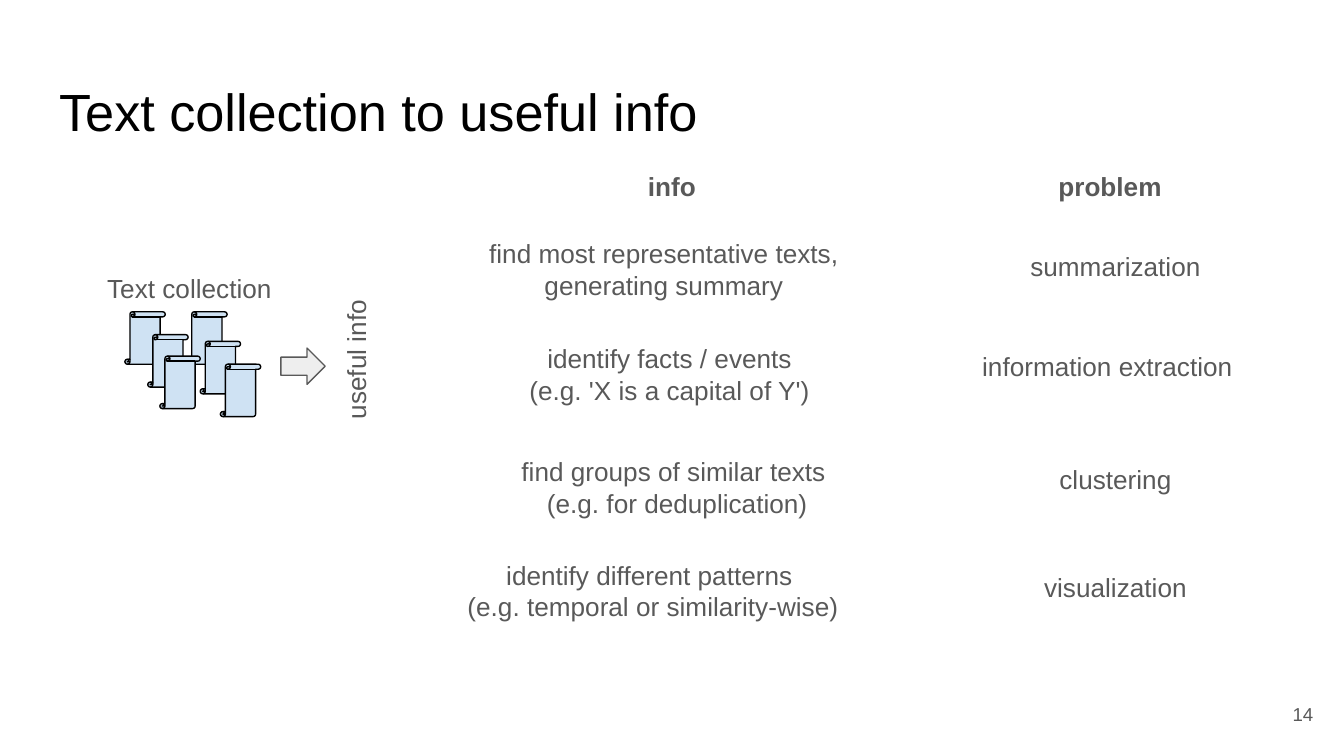
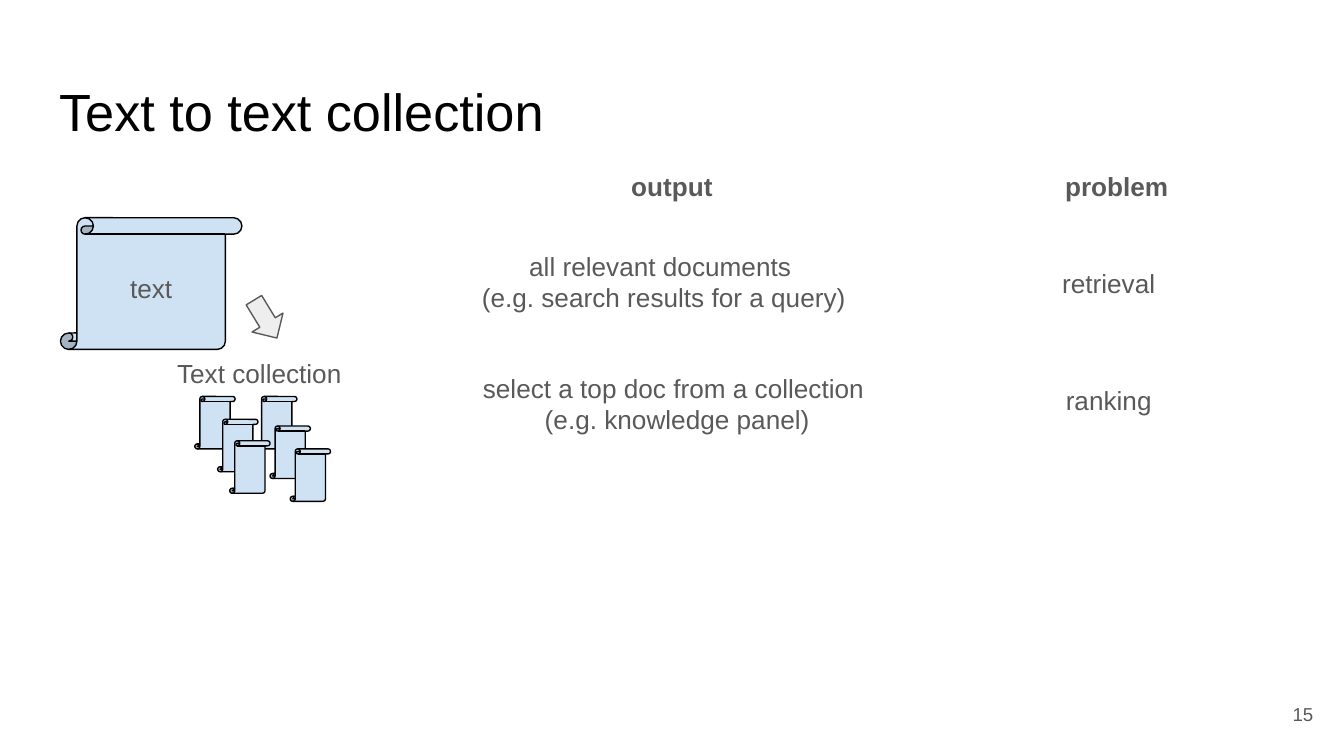
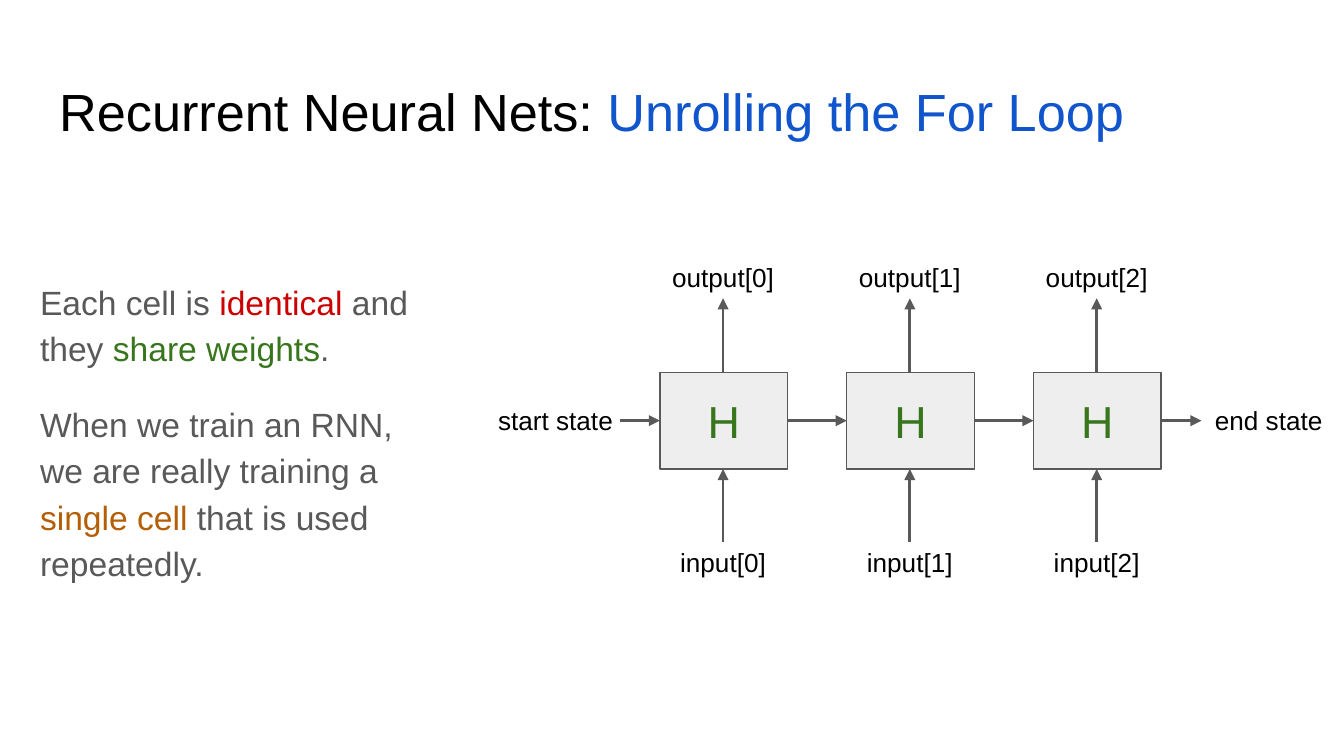
from lxml import etree
from pptx import Presentation
from pptx.dml.color import RGBColor
from pptx.enum.shapes import MSO_CONNECTOR, MSO_SHAPE
from pptx.enum.text import MSO_ANCHOR, MSO_AUTO_SIZE, PP_ALIGN
from pptx.oxml.ns import qn
from pptx.util import Emu, Pt

EMU_PER_PX = 9144  # 100 px to the inch
SLIDE_WIDTH = Emu(1000 * EMU_PER_PX)
SLIDE_HEIGHT = Emu(SLIDE_WIDTH * 9 // 16)
TITLE_ONLY = 5
FONT = "Arial"

BLACK = RGBColor(0x00, 0x00, 0x00)
GREY = RGBColor(0x59, 0x59, 0x59)
LIGHT_GREY = RGBColor(0xEE, 0xEE, 0xEE)
PAPER = RGBColor(0xCF, 0xE2, 0xF3)
BLUE = RGBColor(0x11, 0x55, 0xCC)
RED = RGBColor(0xCC, 0x00, 0x00)
GREEN = RGBColor(0x38, 0x76, 0x1D)
BROWN = RGBColor(0xB4, 0x5F, 0x06)

LEFT, CENTER, RIGHT = PP_ALIGN.LEFT, PP_ALIGN.CENTER, PP_ALIGN.RIGHT
TOP, MIDDLE = MSO_ANCHOR.TOP, MSO_ANCHOR.MIDDLE
NO_FIT = MSO_AUTO_SIZE.NONE
SCROLL, ARROW, RECT = (MSO_SHAPE.VERTICAL_SCROLL, MSO_SHAPE.RIGHT_ARROW,
                       MSO_SHAPE.RECTANGLE)
STRAIGHT = MSO_CONNECTOR.STRAIGHT

SCROLL_OFFSETS = [(62, 39), (79, 56), (108, 39), (118, 61), (88, 72), (133, 78)]


def px(*lengths):
    return [Emu(length * EMU_PER_PX) for length in lengths]


# Shared building blocks
def set_frame(frame, anchor=TOP):
    frame.word_wrap = True
    frame.auto_size = NO_FIT
    frame.vertical_anchor = anchor
    frame.margin_left, frame.margin_top, frame.margin_right, frame.margin_bottom = (
        px(10, 10, 10, 10))


def format_run(run, size, color, bold=False):
    run.font.name = FONT
    run.font.size = Pt(size)
    run.font.color.rgb = color
    run.font.bold = bold


def write_colored(paragraph, parts, size):
    for text, color in parts:
        run = paragraph.add_run()
        run.text = text
        format_run(run, size, color)


def write(frame, text, size=14, color=GREY, bold=False, align=CENTER, anchor=TOP):
    set_frame(frame, anchor)
    paragraph = frame.paragraphs[0]
    paragraph.text = text
    paragraph.alignment = align
    for run in paragraph.runs:
        format_run(run, size, color, bold)


def add_label(shapes, box, text, **style):
    label = shapes.add_textbox(*px(*box))
    write(label.text_frame, text, **style)
    return label


def add_outlined(shapes, kind, box, fill, line):
    outlined = shapes.add_shape(kind, *px(*box))
    outlined.shadow.inherit = False
    outlined.fill.solid()
    outlined.fill.fore_color.rgb = fill
    outlined.line.color.rgb = line
    outlined.line.width = Pt(0.75)
    return outlined


def add_arrow_line(shapes, start, end):
    arrow = shapes.add_connector(STRAIGHT, *px(*start, *end))
    arrow.line.color.rgb = GREY
    arrow.line.width = Pt(1.5)
    properties = arrow.line._get_or_add_ln()
    etree.SubElement(properties, qn("a:tailEnd"), type="triangle")
    etree.SubElement(arrow._element.spPr, qn("a:effectLst"))


def add_titled_slide(prs, title_parts, number=None):
    slide = prs.slides.add_slide(prs.slide_layouts[TITLE_ONLY])
    title = slide.shapes.title
    title.left, title.top, title.width, title.height = px(34, 49, 932, 63)
    set_frame(title.text_frame)
    heading = title.text_frame.paragraphs[0]
    heading.alignment = LEFT
    write_colored(heading, title_parts, 28)
    if number:
        add_label(slide.shapes, (927, 510, 60, 43), number,
                  size=10, align=RIGHT, anchor=MIDDLE)
    return slide


# Pile of scrolls under its caption
def add_text_collection(shapes, left, top):
    for dx, dy in SCROLL_OFFSETS:
        add_outlined(shapes, SCROLL, (left + dx, top + dy, 30, 39), PAPER, BLACK)
    add_label(shapes, (left, top, 220, 45), "Text collection")


def add_block_arrow(shapes, left, top, rotation=0):
    arrow = add_outlined(shapes, ARROW, (left, top, 33, 27), LIGHT_GREY, GREY)
    arrow.rotation = rotation


# Two headed columns of centred text
def add_columns(shapes, left, top, headings, cells):
    for dx, heading in headings:
        add_label(shapes, (left + dx, top, 220, 45), heading, bold=True)
    for dx, dy, width, height, text in cells:
        add_label(shapes, (left + dx, top + dy, width, height), text)


def build_useful_info(prs):
    shapes = add_titled_slide(
        prs, [("Text collection to useful info", BLACK)], "14").shapes
    add_columns(shapes, 288, 117, [(102, "info"), (428, "problem")], [
        (26, 50, 360, 63, "find most representative texts, generating summary"),
        (15, 128, 396, 45, "identify facts / events \n(e.g. 'X is a capital of Y') "),
        (18, 212, 396, 63, "find groups of similar texts \n(e.g. for deduplication)"),
        (0, 289, 396, 68,
         "identify different patterns \n(e.g. temporal or similarity-wise)"),
        (432, 59, 220, 45, "summarization"),
        (426, 134, 220, 45, "information extraction"),
        (432, 218, 220, 45, "clustering"),
        (432, 298, 220, 45, "visualization"),
    ])
    add_text_collection(shapes, 31, 193)
    add_block_arrow(shapes, 209, 259)
    add_label(shapes, (193, 245, 145, 45), "useful info").rotation = 270


def build_text_to_collection(prs):
    shapes = add_titled_slide(
        prs, [("Text to text collection", BLACK)], "15").shapes
    add_columns(shapes, 288, 117, [(102, "output"), (433, "problem")], [
        (26, 59, 360, 45, "all relevant documents \n(e.g. search results for a query)"),
        (18, 150, 396, 63,
         "select a top doc from a collection \n(e.g. knowledge panel)"),
        (449, 72, 176, 45, "retrieval"),
        (449, 159, 176, 45, "ranking"),
    ])
    source_text = add_outlined(shapes, SCROLL, (45, 162, 135, 98), PAPER, BLACK)
    write(source_text.text_frame, "text", anchor=MIDDLE)
    add_text_collection(shapes, 83, 256)
    add_block_arrow(shapes, 181, 224, 58.6)


# Chain of identical cells, each with an input and an output
def add_unrolled_network(shapes, left, top, cell_count=3):
    cell_width, cell_height, pitch = 95, 72, 139
    label_width, label_height, stem, end_stem = 112, 31, 55, 30
    state_y = top + label_height + stem + cell_height // 2
    cell_top = state_y - cell_height // 2
    cell_bottom = cell_top + cell_height
    first_cell = left + label_width - 5 + end_stem
    label_style = {"color": BLACK, "anchor": MIDDLE}

    add_label(shapes, (left, state_y - 16, label_width, label_height),
              "start state", align=RIGHT, **label_style)
    add_arrow_line(shapes, (first_cell - end_stem, state_y), (first_cell, state_y))
    for step in range(cell_count):
        cell_left = first_cell + step * pitch
        cell_right = cell_left + cell_width
        center = cell_left + cell_width // 2
        label_left = center - label_width // 2
        input_top = cell_bottom + stem - 1
        cell = add_outlined(shapes, RECT, (cell_left, cell_top, cell_width, cell_height),
                            LIGHT_GREY, GREY)
        write(cell.text_frame, "H", size=24, color=GREEN, anchor=MIDDLE)
        add_label(shapes, (label_left, top, label_width, label_height),
                  f"output[{step}]", **label_style)
        add_label(shapes, (label_left, input_top, label_width, label_height),
                  f"input[{step}]", **label_style)
        add_arrow_line(shapes, (center, input_top), (center, cell_bottom))
        add_arrow_line(shapes, (center, cell_top), (center, top + label_height))
        is_last = step == cell_count - 1
        link = end_stem if is_last else pitch - cell_width
        add_arrow_line(shapes, (cell_right, state_y), (cell_right + link, state_y))
    add_label(shapes, (cell_right + end_stem, state_y - 16, label_width, label_height),
              "end state", align=LEFT, **label_style)


def add_explanation(shapes, box, paragraphs):
    frame = shapes.add_textbox(*px(*box)).text_frame
    set_frame(frame)
    for index, parts in enumerate(paragraphs):
        paragraph = frame.add_paragraph() if index else frame.paragraphs[0]
        paragraph.line_spacing = 1.15
        if index:
            paragraph.space_before = Pt(16)
        write_colored(paragraph, parts, 18)


def build_unrolling(prs):
    shapes = add_titled_slide(prs, [("Recurrent Neural Nets: ", BLACK),
                                    ("Unrolling the For Loop", BLUE)]).shapes
    add_unrolled_network(shapes.add_group_shape().shapes, 354, 191)
    add_explanation(shapes, (20, 195, 307, 293), [
        [("Each cell is ", GREY), ("identical", RED), (" and they ", GREY),
         ("share weights", GREEN), (".", GREY)],
        [("When we train an RNN, we are really training a ", GREY),
         ("single cell", BROWN), (" that is used repeatedly.", GREY)],
    ])


def main():
    prs = Presentation()
    prs.slide_width, prs.slide_height = SLIDE_WIDTH, SLIDE_HEIGHT
    build_useful_info(prs)
    build_text_to_collection(prs)
    build_unrolling(prs)
    prs.save("out.pptx")


if __name__ == "__main__":
    main()
